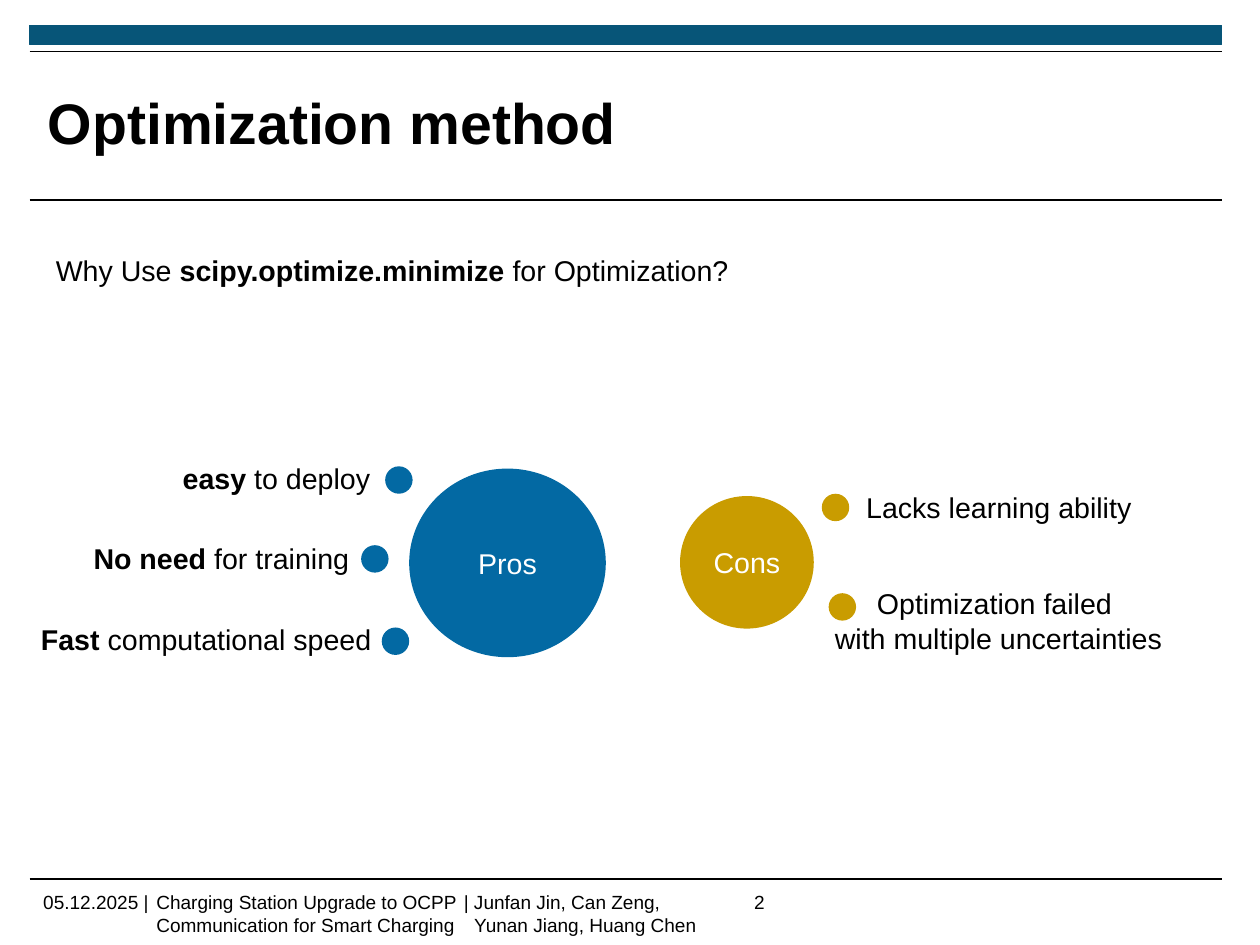
from pptx import Presentation
from pptx.dml.color import RGBColor
from pptx.enum.shapes import MSO_CONNECTOR as CONN, MSO_SHAPE as SHAPE
from pptx.enum.text import MSO_ANCHOR as ANCHOR, PP_ALIGN as ALIGN
from pptx.oxml.ns import qn
from pptx.util import Inches, Pt

BLACK = RGBColor(0x00, 0x00, 0x00)
WHITE = RGBColor(0xFF, 0xFF, 0xFF)
TEAL = RGBColor(0x07, 0x55, 0x78)
BLUE = RGBColor(0x03, 0x69, 0xA3)
GOLD = RGBColor(0xC9, 0x9C, 0x00)
FONT = "Arial"
DOT = 0.24
CM_PER_INCH = 2.54


def fill_text(tf, paragraphs, size=18, color=BLACK, align=ALIGN.LEFT):
    """Each paragraph is a list of (text, bold) runs."""
    for i, runs in enumerate(paragraphs):
        p = tf.paragraphs[0] if i == 0 else tf.add_paragraph()
        p.alignment = align
        for text, bold in runs:
            r = p.add_run()
            r.text = text
            r.font.name = FONT
            r.font.size = Pt(size)
            r.font.bold = bold
            r.font.color.rgb = color


def add_text(slide, box, paragraphs, wrap=False, **style):
    sp = slide.shapes.add_textbox(*map(Inches, box))
    tf = sp.text_frame
    tf.word_wrap = wrap
    fill_text(tf, paragraphs, **style)
    return tf


def add_solid(slide, kind, box, color):
    sp = slide.shapes.add_shape(kind, *map(Inches, box))
    sp.shadow.inherit = False
    sp.fill.solid()
    sp.fill.fore_color.rgb = color
    sp.line.fill.background()
    return sp


def add_rule(slide, left, top, width):
    line = slide.shapes.add_connector(
        CONN.STRAIGHT, Inches(left), Inches(top), Inches(left + width), Inches(top))
    line.line.color.rgb = BLACK
    line.line.width = Pt(0.71)
    sp_pr = line._element.spPr
    sp_pr.append(sp_pr.makeelement(qn("a:effectLst"), {}))


def add_header(slide, left, top, width):
    # Coloured bar between the page margins
    bar = add_solid(slide, SHAPE.RECTANGLE, (left, top, width, 0.17), TEAL)
    bar.line.color.rgb = TEAL
    bar.line.width = Pt(0.75)

    # Title between two rules
    for offset in (0.23, 1.53):
        add_rule(slide, left, top + offset, width)
    tf = add_text(slide, (left + 0.16, top + 0.37, 8.17, 1.03),
                  [[("Optimization method", True)]], wrap=True, size=36)
    tf.margin_left = tf.margin_right = tf.margin_top = tf.margin_bottom = 0
    tf.vertical_anchor = ANCHOR.MIDDLE
    tf.paragraphs[0].line_spacing = 0.9


def add_footer(slide, left, top, width):
    add_rule(slide, left, top, width)
    fields = [
        (0.02, 1.18, ["05.12.2025 |"]),
        (1.01, 3.96, ["Charging Station Upgrade to OCPP Communication for Smart Charging"]),
        (3.7, 2.4, ["| Junfan Jin, Can Zeng,", "Yunan Jiang, Huang Chen"]),
        (6.24, 0.76, ["2"]),
    ]
    for offset, field_width, lines in fields:
        tf = add_text(slide, (left + offset, top + 0.05, field_width, 0.28),
                      [[(line, False)] for line in lines], wrap=True, size=12)
        # Later lines start after the separator
        for p in tf.paragraphs[1:]:
            p._p.get_or_add_pPr().set("marL", str(Inches(0.09)))


def add_argument_group(slide, left, top, name, color, circle, points):
    """Circle, dots and texts, all placed from the group's corner."""
    x, y, w, h = circle
    sp = add_solid(slide, SHAPE.OVAL, (left + x, top + y, w, h), color)
    sp.text_frame.vertical_anchor = ANCHOR.MIDDLE
    fill_text(sp.text_frame, [[(name, False)]], color=WHITE, align=ALIGN.CENTER)

    for (dot_x, dot_y), (x, y, w, h), paragraphs in points:
        align = ALIGN.CENTER if len(paragraphs) > 1 else ALIGN.LEFT
        add_text(slide, (left + x, top + y, w, h), paragraphs, align=align)
        add_solid(slide, SHAPE.OVAL, (left + dot_x, top + dot_y, DOT, DOT), color)


def build_slide(prs):
    slide = prs.slides.add_slide(prs.slide_layouts[6])
    margin, width = 0.26, 10.43
    add_header(slide, margin, 0.22, width)

    # Question
    add_text(slide, (0.39, 2.16, 6.14, 0.4), [[
        ("Why Use ", False), ("scipy.optimize.minimize", True),
        (" for Optimization?", False)]])

    # Pros: dots left of the circle
    add_argument_group(slide, margin, 3.98, "Pros", BLUE, (3.32, 0.12, 1.72, 1.65), [
        ((3.11, 0.1), (1.24, 0, 1.86, 0.4), [[("easy", True), (" to deploy", False)]]),
        ((2.9, 0.79), (0.46, 0.7, 2.46, 0.4), [[("No need", True), (" for training", False)]]),
        ((3.08, 1.51), (0, 1.41, 3.09, 0.4),
         [[("Fast", True), (" computational speed", False)]]),
    ])

    # Cons: dots right of the circle
    add_argument_group(slide, 5.95, 4.24, "Cons", GOLD, (0, 0.1, 1.17, 1.16), [
        ((1.24, 0.08), (1.53, 0, 2.54, 0.4), [[("Lacks learning ability", False)]]),
        ((1.3, 0.95), (1.24, 0.84, 3.09, 0.71),
         [[("Optimization failed ", False)], [("with multiple uncertainties", False)]]),
    ])

    add_footer(slide, margin, 7.69, width)


def main():
    prs = Presentation()
    prs.slide_width = Inches(28 / CM_PER_INCH)
    prs.slide_height = Inches(21 / CM_PER_INCH)
    build_slide(prs)
    prs.save("out.pptx")


if __name__ == "__main__":
    main()
